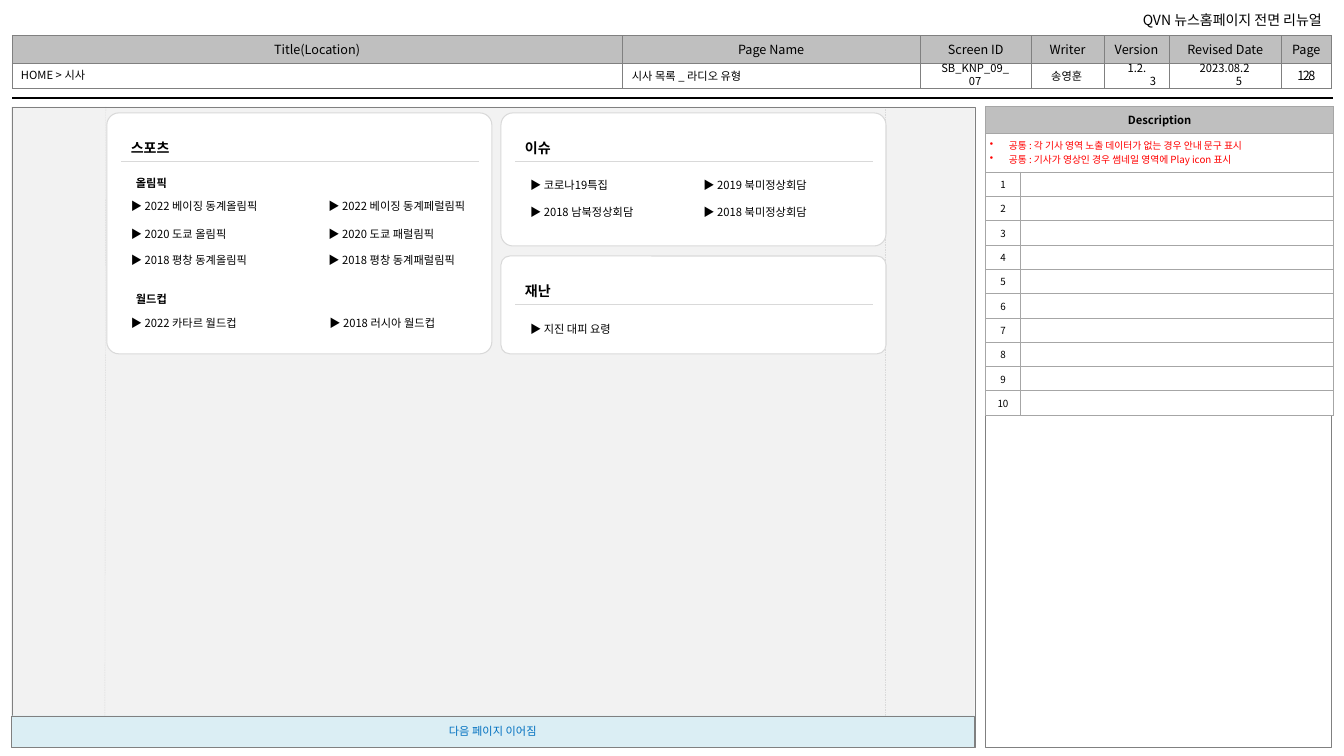
from dataclasses import dataclass, field

from pptx import Presentation
from pptx.dml.color import RGBColor
from pptx.enum.dml import MSO_LINE
from pptx.enum.shapes import MSO_CONNECTOR, MSO_SHAPE
from pptx.enum.text import MSO_ANCHOR as Anchor, PP_ALIGN as Align
from pptx.oxml.ns import qn
from pptx.oxml.xmlchemy import OxmlElement
from pptx.util import Inches, Pt

BLACK = RGBColor(0x00, 0x00, 0x00)
WHITE = RGBColor(0xFF, 0xFF, 0xFF)
RED = RGBColor(0xFF, 0x00, 0x00)
LINK_BLUE = RGBColor(0x00, 0x70, 0xC0)
PALE_BLUE = RGBColor(0xDB, 0xEE, 0xF4)
CANVAS_GREY = RGBColor(0xF2, 0xF2, 0xF2)
HEADER_GREY = RGBColor(0xBF, 0xBF, 0xBF)
FRAME_GREY = RGBColor(0x80, 0x80, 0x80)
CELL_GREY = RGBColor(0xA6, 0xA6, 0xA6)
CARD_GREY = RGBColor(0xD9, 0xD9, 0xD9)
FONT = "Noto Sans CJK KR"

prs = Presentation()
prs.slide_width, prs.slide_height = Inches(13.33), Inches(7.5)
slide = prs.slides.add_slide(prs.slide_layouts[6])
COLUMN = prs.slide_width / 160
ROW = prs.slide_height / 90


def across(columns: float) -> int:
    return round(columns * COLUMN)


def down(rows: float) -> int:
    return round(rows * ROW)


@dataclass(frozen=True)
class Area:
    col: float
    row: float
    cols: float
    rows: float = 2.88

    def place(self) -> tuple[int, int, int, int]:
        return across(self.col), down(self.row), across(self.cols), down(self.rows)


@dataclass(frozen=True)
class Label:
    text: str
    area: Area
    size: float = 8
    bold: bool = False
    align: Align = Align.LEFT
    hanging: float = 0
    spacing: int = 0


@dataclass(frozen=True)
class Card:
    """Entries hold text, column and row, both counted from the card's corner."""
    title: str
    area: Area
    corner: float
    entries: list[tuple[str, float, float]]
    subheads: list[tuple[str, float, float]] = field(default_factory=list)


def write(paragraph, text: str, size: float, color: RGBColor = BLACK, bold: bool = False,
          align: Align = Align.LEFT):
    paragraph.alignment = align
    run = paragraph.add_run()
    run.text = text
    for name, value in {"name": FONT, "size": Pt(size), "bold": bold}.items():
        setattr(run.font, name, value)
    run.font.color.rgb = color
    east_asian = OxmlElement("a:ea")
    east_asian.set("typeface", FONT)
    run.font._element.append(east_asian)
    return run


def hang(paragraph, columns: float) -> None:
    props = paragraph._p.get_or_add_pPr()
    props.set("marL", str(across(columns)))
    props.set("indent", str(-across(columns)))


def add_label(label: Label) -> None:
    frame = slide.shapes.add_textbox(*label.area.place()).text_frame
    frame.word_wrap = True
    frame.vertical_anchor = Anchor.MIDDLE
    paragraph = frame.paragraphs[0]
    if label.hanging:
        hang(paragraph, label.hanging)
    run = write(paragraph, label.text, label.size, bold=label.bold, align=label.align)
    if label.spacing:
        run.font._element.set("spc", str(label.spacing))


def add_panel(area: Area, fill: RGBColor | None, line: RGBColor | None, width: float = 0.25,
              kind: MSO_SHAPE = MSO_SHAPE.RECTANGLE):
    panel = slide.shapes.add_shape(kind, *area.place())
    panel.shadow.inherit = False
    for part, color in ((panel.fill, fill), (panel.line.fill, line)):
        if color is None:
            part.background()
        else:
            part.solid()
            part.fore_color.rgb = color
    if line is not None:
        panel.line.width = Pt(width)
    return panel


def add_rule(start: tuple[float, float], end: tuple[float, float], color: RGBColor,
             width: float, dash: MSO_LINE | None = None) -> None:
    rule = slide.shapes.add_connector(MSO_CONNECTOR.STRAIGHT, across(start[0]), down(start[1]),
                                      across(end[0]), down(end[1]))
    for name, value in {"width": Pt(width), "dash_style": dash}.items():
        setattr(rule.line, name, value)
    rule.line.color.rgb = color
    rule._element.spPr.append(OxmlElement("a:effectLst"))


def add_grid(left: float, top: float, cols: list[float], rows: list[float]):
    area = Area(left, top, sum(cols), sum(rows))
    grid = slide.shapes.add_table(len(rows), len(cols), *area.place()).table
    grid.first_row = grid.horz_banding = False
    for column, width in zip(grid.columns, cols):
        column.width = across(width)
    for row, height in zip(grid.rows, rows):
        row.height = down(height)
    return grid


def format_cell(cell, fill: RGBColor | None, border: RGBColor, width: float,
                margins: tuple[float, float]) -> None:
    side, edge = margins
    values = {"margin_left": across(side), "margin_right": across(side), "margin_top": down(edge),
              "margin_bottom": down(edge), "vertical_anchor": Anchor.MIDDLE}
    for name, value in values.items():
        setattr(cell, name, value)
    props = cell._tc.get_or_add_tcPr()
    for tag in ("a:lnL", "a:lnR", "a:lnT", "a:lnB"):
        edge_line = OxmlElement(tag)
        edge_line.set("w", str(Pt(width)))
        solid, color = OxmlElement("a:solidFill"), OxmlElement("a:srgbClr")
        color.set("val", str(border))
        solid.append(color)
        edge_line.append(solid)
        props.append(edge_line)
    if fill is None:
        cell.fill.background()
    else:
        cell.fill.solid()
        cell.fill.fore_color.rgb = fill
    if not cell.text_frame.text:
        paragraph = cell.text_frame.paragraphs[0]._p
        end = OxmlElement("a:endParaRPr")
        end.set("sz", "700")
        paragraph.append(end)


def add_page_header() -> None:
    add_rule((1.44, 11.64), (158.64, 11.64), BLACK, 1.5)
    titles = ["Title(Location)", "Page Name", "Screen ID", "Writer", "Version", "Revised Date", "Page"]
    grid = add_grid(1.44, 4.2, [72.6, 35.52, 13.2, 8.64, 7.8, 13.32, 6], [3.36, 2.88])
    for index, title in enumerate(titles):
        write(grid.cell(0, index).text_frame.paragraphs[0], title, 9, align=Align.CENTER)
        for row, fill in enumerate((HEADER_GREY, None)):
            format_cell(grid.cell(row, index), fill, FRAME_GREY, 0.25, (0.6, 0.24))


def add_description() -> None:
    add_panel(Area(117.24, 12.72, 41.28, 76.2), None, FRAME_GREY)
    notes = ["공통 : 각 기사 영역 노출 데이터가 없는 경우 안내 문구 표시",
             "공통 : 기사가 영상인 경우 썸네일 영역에 Play icon 표시"]
    grid = add_grid(117.36, 12.72, [4.08, 37.32], [3.12, 4.64] + [2.9] * 10)
    for row in (0, 1):
        grid.cell(row, 0).merge(grid.cell(row, 1))
    write(grid.cell(0, 0).text_frame.paragraphs[0], "Description", 8, bold=True, align=Align.CENTER)
    note_frame = grid.cell(1, 0).text_frame
    for index, note in enumerate(notes):
        paragraph = note_frame.add_paragraph() if index else note_frame.paragraphs[0]
        hang(paragraph, 2.28)
        bullet = OxmlElement("a:buChar")
        bullet.set("char", "•")
        paragraph._p.get_or_add_pPr().append(bullet)
        write(paragraph, note, 7, RED)
    for number in range(1, 11):
        write(grid.cell(number + 1, 0).text_frame.paragraphs[0], str(number), 7, align=Align.CENTER)
    for row in range(12):
        for col in range(2):
            format_cell(grid.cell(row, col), WHITE if row else HEADER_GREY, CELL_GREY, 0.75, (0.48, 0.6))


def add_card(card: Card) -> None:
    left, top = card.area.col, card.area.row
    panel = add_panel(card.area, WHITE, CARD_GREY, 0.75, MSO_SHAPE.ROUNDED_RECTANGLE)
    panel.adjustments[0] = card.corner
    add_rule((left + 1.68, top + 5.76), (left + 44.28, top + 5.76), CARD_GREY, 0.75)
    add_label(Label(card.title, Area(left + 1.68, top + 2.52, 33.6, 3.24), 10, True))
    for text, col, row in card.subheads:
        add_label(Label(text, Area(left + col, top + row, 16.2, 3.24), bold=True))
    for text, col, row in card.entries:
        add_label(Label(f"▶ {text}", Area(left + col, top + row, 20.6)))


CARDS = [
    Card("스포츠", Area(12.72, 13.44, 45.84, 28.68), 0.05, [
        ("2022 베이징 동계올림픽", 1.68, 9.6), ("2022 베이징 동계페럴림픽", 25.2, 9.6),
        ("2020 도쿄 올림픽", 1.68, 12.96), ("2020 도쿄 패럴림픽", 25.2, 12.96),
        ("2018 평창 동계올림픽", 1.68, 16.08), ("2018 평창 동계패럴림픽", 25.2, 16.08),
        ("2022 카타르 월드컵", 1.68, 23.52), ("2018 러시아 월드컵", 25.3, 23.52),
    ], [("올림픽", 2.28, 6.72), ("월드컵", 2.28, 20.52)]),
    Card("이슈", Area(59.64, 13.44, 45.84, 15.84), 0.09, [
        ("코로나19특집", 2.28, 7.2), ("2019 북미정상회담", 22.92, 7.2),
        ("2018 남북정상회담", 2.28, 10.32), ("2018 북미정상회담", 22.92, 10.32)]),
    Card("재난", Area(59.64, 30.48, 45.84, 11.64), 0.09, [("지진 대피 요령", 2.28, 7.2)]),
]
PAGE_LABELS = [
    Label("QVN 뉴스홈페이지 전면 리뉴얼", Area(102.72, 0.72, 55.8, 3.24), 10, align=Align.RIGHT),
    Label("HOME > 시사", Area(1.32, 7.44, 11.04)),
    Label("시사 목록 _ 라디오 유형", Area(74.04, 7.56, 17.04)),
    Label("SB_KNP_09_07", Area(110.52, 7.44, 11.16), align=Align.CENTER),
    Label("송영훈", Area(123.96, 7.56, 6.48)),
    Label("1.2.3", Area(132.72, 7.44, 5.28), align=Align.CENTER, hanging=3.36),
    Label("2023.08.25", Area(141.36, 7.44, 8.88), align=Align.CENTER, hanging=3.36),
    Label("128", Area(151.44, 7.44, 8.16, 3), 9, align=Align.CENTER, spacing=-100),
]

add_page_header()
add_panel(Area(1.32, 12.72, 114.72, 76.2), CANVAS_GREY, None)
for guide_top, guide_bottom in ((12.6, 12.48), (105.36, 105.36)):
    add_rule((guide_top, 12.72), (guide_bottom, 88.68), CARD_GREY, 0.25, MSO_LINE.DASH)
add_panel(Area(1.44, 12.72, 114.72, 76.2), None, FRAME_GREY)
banner = add_panel(Area(1.32, 85.2, 114.72, 3.72), PALE_BLUE, FRAME_GREY)
banner.text_frame.vertical_anchor = Anchor.MIDDLE
write(banner.text_frame.paragraphs[0], "다음 페이지 이어짐", 8, LINK_BLUE, align=Align.CENTER)
for page_label in PAGE_LABELS:
    add_label(page_label)
add_description()
for section in CARDS:
    add_card(section)
prs.save("out.pptx")
